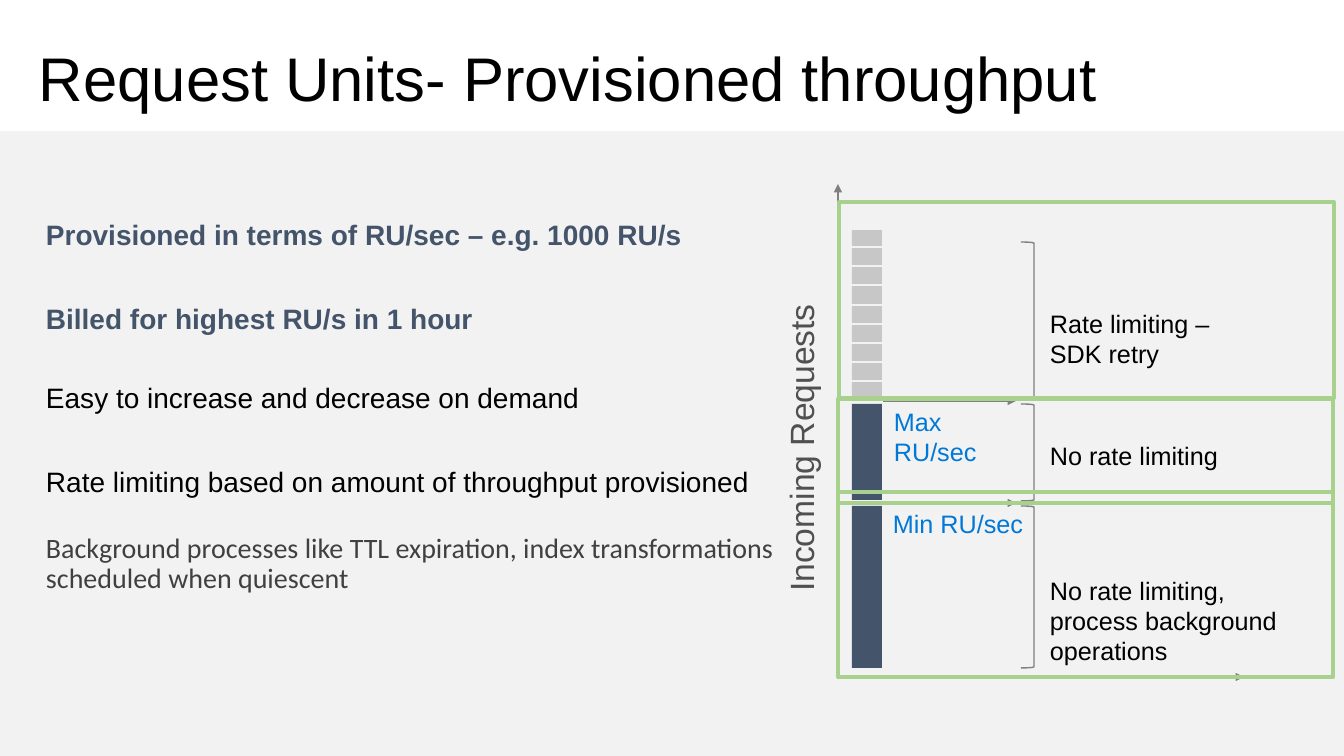
import pptx
import pptx.util
import pptx.dml.color
import pptx.enum.shapes
import pptx.enum.text
import pptx.oxml.ns
import lxml.etree

SCALE = 914400 / 100.8
COLORS = {
    "panel": "F2F2F2", "ink": "000000", "navy": "44546A", "charcoal": "404040",
    "axis": "808080", "axis_label": "505050", "limit": "0078D7",
    "excess": "C7C7C7", "zone": "A9D18E",
}
SHAPES = pptx.enum.shapes.MSO_SHAPE
ALIGN = pptx.enum.text.PP_ALIGN
ANCHOR = pptx.enum.text.MSO_ANCHOR


def px(length):
    return pptx.util.Emu(round(length * SCALE))


def color(name):
    return pptx.dml.color.RGBColor.from_string(COLORS[name])


def add_block(slide, box, fill=None, line=None, width=1, kind=SHAPES.RECTANGLE):
    block = slide.shapes.add_shape(kind, *map(px, box))
    block.shadow.inherit = False
    if fill:
        block.fill.solid()
        block.fill.fore_color.rgb = color(fill)
    else:
        block.fill.background()
    if line:
        block.line.color.rgb = color(line)
        block.line.width = pptx.util.Pt(width)
    else:
        block.line.fill.background()


def add_line(slide, start, end, ink, arrow=False):
    rule = slide.shapes.add_connector(
        pptx.enum.shapes.MSO_CONNECTOR.STRAIGHT, *map(px, start + end))
    rule.line.color.rgb = color(ink)
    rule.line.width = pptx.util.Pt(1.5)
    qn = pptx.oxml.ns.qn
    if arrow:
        lxml.etree.SubElement(rule.line._get_or_add_ln(), qn("a:tailEnd"), type="triangle")
    lxml.etree.SubElement(rule._element.spPr, qn("a:effectLst"))


def style(paragraph, size, ink, font="Arial", bold=False):
    paragraph.font.size = pptx.util.Pt(size)
    paragraph.font.name = font
    paragraph.font.bold = bold
    paragraph.font.color.rgb = color(ink)


def add_text(slide, box, words, size, ink):
    label = slide.shapes.add_textbox(*map(px, box))
    label.text_frame.word_wrap = True
    label.text_frame.text = words
    style(label.text_frame.paragraphs[0], size, ink)
    return label


def add_title(slide, box):
    title = add_text(slide, box, "Request Units- Provisioned throughput", 44, "ink")
    title.text_frame.vertical_anchor = ANCHOR.MIDDLE
    title.text_frame.paragraphs[0].line_spacing = 0.9


def add_points(slide, box):
    points = [
        ("Provisioned in terms of RU/sec – e.g. 1000 RU/s", "navy", "Arial", True, 2.0, 12, 0),
        ("Billed for highest RU/s in 1 hour", "navy", "Arial", True, 2.0, 12, 0),
        ("Easy to increase and decrease on demand", "ink", "Arial", False, 2.0, 8, 4),
        ("Rate limiting based on amount of throughput provisioned",
         "ink", "Arial", False, 2.0, 8, 4),
        ("Background processes like TTL expiration, index transformations "
         "scheduled when quiescent", "charcoal", "Calibri", False, 0.9, 22, 0),
    ]
    frame = slide.shapes.add_textbox(*map(px, box)).text_frame
    frame.word_wrap = True
    frame.margin_left = frame.margin_right = px(16)
    frame.margin_top = frame.margin_bottom = px(10)
    for index, (words, ink, font, bold, spacing, before, after) in enumerate(points):
        point = frame.add_paragraph() if index else frame.paragraphs[0]
        point.text = words
        style(point, 20, ink, font, bold)
        point.line_spacing = spacing
        point.space_before = pptx.util.Pt(before)
        point.space_after = pptx.util.Pt(after)


def add_throughput_diagram(slide, box):
    left, top, width, height = box
    base = top + height
    bar_left, bar_width = left + 14, 30
    bars = [(46, 168, "excess"), (220, 96, "navy"), (322, 162, "navy")]
    brackets = [(58, 156), (220, 97), (322, 162)]
    notes = [
        (119, 192, 72, "Rate limiting – SDK retry"),
        (251, 192, 40, "No rate limiting"),
        (386, 252, 102, "No rate limiting, process background operations"),
    ]
    limits = [(217, 46, 72, "Max RU/sec"), (319, 45, 40, "Min RU/sec")]
    zones = [(1, 18, 196), (0, 215, 104), (0, 308, 185)]

    for offset, indent, tall, words in limits:
        add_text(slide, (left + indent, top + offset, 156, tall), words, 18, "limit")
        add_line(slide, (left + 45, top + offset), (left + 178, top + offset), "axis", True)
    add_line(slide, (left, base), (left, top), "axis", True)
    add_line(slide, (left, base), (left + 406, base), "axis", True)

    axis_label = add_text(slide, (left - 245, top + 239, 415, 50),
                          "Incoming Requests", 24, "axis_label")
    axis_label.text_frame.paragraphs[0].alignment = ALIGN.CENTER
    axis_label.rotation = 270

    for offset, tall, fill in bars:
        add_block(slide, (bar_left, top + offset, bar_width, tall), fill)
    for step in range(8):
        gap = top + 63 + 19.2 * step
        add_line(slide, (bar_left - 5, gap), (bar_left + bar_width + 5, gap), "panel")
    for offset, tall in brackets:
        add_block(slide, (left + 183, top + offset, 13, tall),
                  line="axis", kind=SHAPES.RIGHT_BRACKET)
    for offset, wide, tall, words in notes:
        add_text(slide, (left + 202, top + offset, wide, tall), words, 18, "ink")
    for indent, offset, tall in reversed(zones):
        add_block(slide, (left + indent, top + offset, width, tall), line="zone", width=3)


deck = pptx.Presentation()
deck.slide_width, deck.slide_height = px(1344), px(756)
throughput_slide = deck.slides.add_slide(deck.slide_layouts[6])
add_block(throughput_slide, (0, 131, 1344, 625), "panel")
add_title(throughput_slide, (29, 32, 1285, 99))
add_points(throughput_slide, (30, 174, 761, 465))
add_throughput_diagram(throughput_slide, (838, 184, 495, 493))
deck.save("out.pptx")
